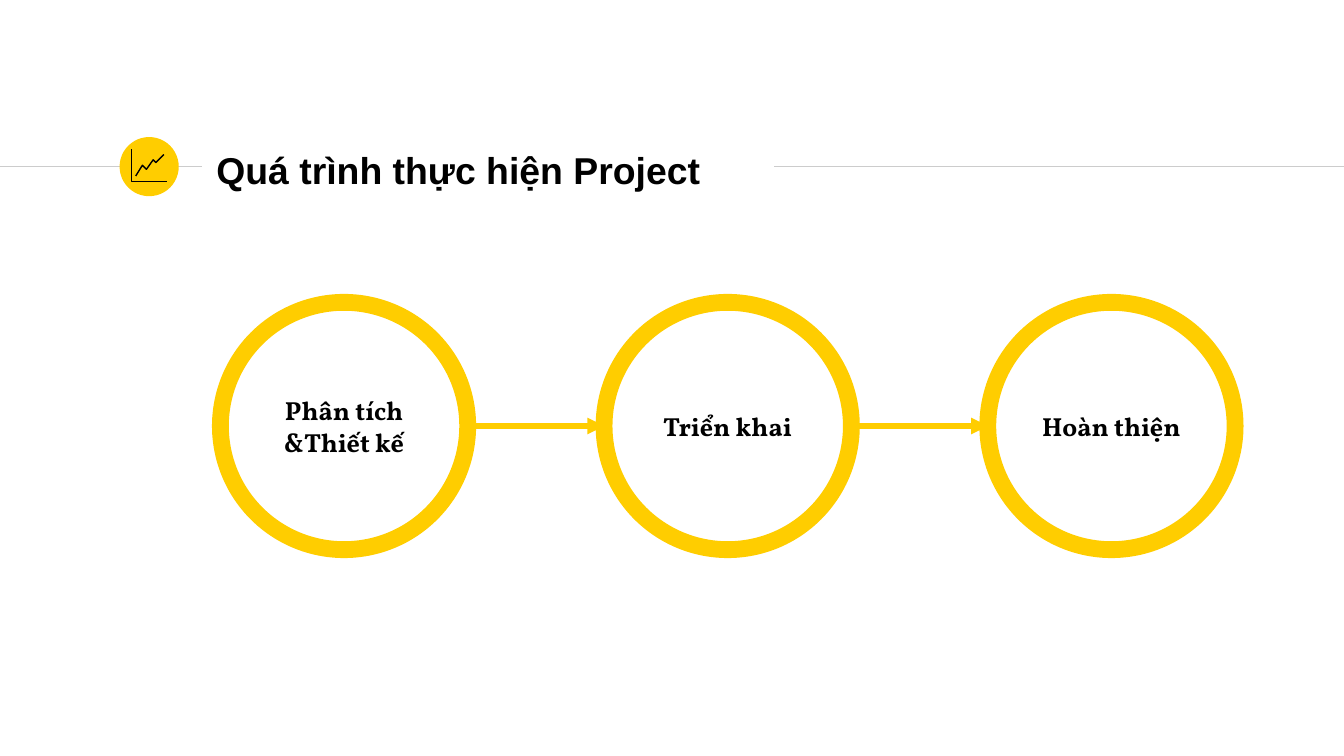
from lxml import etree
from pptx import Presentation
from pptx import util as u
from pptx.dml.color import RGBColor
from pptx.enum import shapes, text
from pptx.oxml.ns import qn

# The slide is a 16:9 grid of square cells, 1/100 inch each.
COLS = 1000
ROWS = COLS * 9 / 16
GOLD, GREY, BLACK = "FFCD00", "CCCCCC", "000000"
STEPS = ["Phân tích &Thiết kế", "Triển khai", "Hoàn thiện"]
RING, LEFT, TOP, PITCH = 184, 164, 225, 285.5
RULE = 124
AXES = [(98, 111), (98, 135), (124, 135)]
TREND = [(101, 131), (106, 123), (109, 126), (114, 119), (116, 121), (122, 115)]


def cells(*counts):
    return [u.Inches(n / 100) for n in counts]


def paint(fmt, tint):
    """Give a fill or a font one plain colour."""
    if hasattr(fmt, "solid"):
        fmt.solid()
        fmt.fore_color.rgb = RGBColor.from_string(tint)
    else:
        fmt.color.rgb = RGBColor.from_string(tint)


def stroke(item, tint, width):
    paint(item.line.fill, tint)
    item.line.width = u.Pt(width)


def write(item, words, font, size, align):
    frame = item.text_frame
    frame.text = words
    frame.word_wrap = True
    frame.auto_size = text.MSO_AUTO_SIZE.NONE
    frame.vertical_anchor = text.MSO_ANCHOR.MIDDLE
    frame.margin_left = frame.margin_right = u.Inches(0.1)
    frame.margin_top = frame.margin_bottom = u.Inches(0.1)
    para = frame.paragraphs[0]
    para.alignment = align
    para.font.name, para.font.size, para.font.bold = font, u.Pt(size), True
    paint(para.font, BLACK)


def add_disc(slide, left, top, size):
    disc = slide.shapes.add_shape(
        shapes.MSO_SHAPE.OVAL, *cells(left, top, size, size))
    disc.shadow.inherit = False
    return disc


def add_ring(slide, left, words):
    ring = add_disc(slide, left, TOP, RING)
    ring.fill.background()
    stroke(ring, GOLD, 9)
    write(ring, words, "Vollkorn", 14, text.PP_ALIGN.CENTER)


def add_line(slide, start, end, row, tint, width, arrow=False):
    line = slide.shapes.add_connector(
        shapes.MSO_CONNECTOR.STRAIGHT, *cells(start, row, end, row))
    stroke(line, tint, width)
    props = line._element.spPr
    if arrow:
        etree.SubElement(props.find(qn("a:ln")), qn("a:tailEnd"),
                         type="triangle")
    etree.SubElement(props, qn("a:effectLst"))


def add_path(slide, points):
    pen = slide.shapes.build_freeform(*points[0], scale=u.Inches(0.01))
    pen.add_line_segments(points[1:], close=False)
    path = pen.convert_to_shape()
    path.shadow.inherit = False
    path.fill.background()
    stroke(path, BLACK, 0.75)


def add_head(slide):
    add_line(slide, 0, 150, RULE, GREY, 0.75)
    badge = add_disc(slide, 89, 102, 44)
    paint(badge.fill, GOLD)
    badge.line.fill.background()
    add_line(slide, 576, COLS, RULE, GREY, 0.75)
    for points in (AXES, TREND):
        add_path(slide, points)
    title = slide.shapes.title
    title.left, title.top, title.width, title.height = cells(151, 102, 424, 48)
    write(title, "Quá trình thực hiện Project", "Arial", 20,
          text.PP_ALIGN.LEFT)


def add_flow(slide):
    lefts = [LEFT + i * PITCH for i in range(len(STEPS))]
    for left, words in zip(lefts, STEPS):
        add_ring(slide, left, words)
    for left, after in zip(lefts, lefts[1:]):
        add_line(slide, left + RING, after, TOP + RING / 2, GOLD, 3, arrow=True)


def main():
    deck = Presentation()
    deck.slide_width, deck.slide_height = cells(COLS, ROWS)
    slide = deck.slides.add_slide(deck.slide_layouts.get_by_name("Title Only"))
    add_head(slide)
    add_flow(slide)
    deck.save("out.pptx")


if __name__ == "__main__":
    main()
